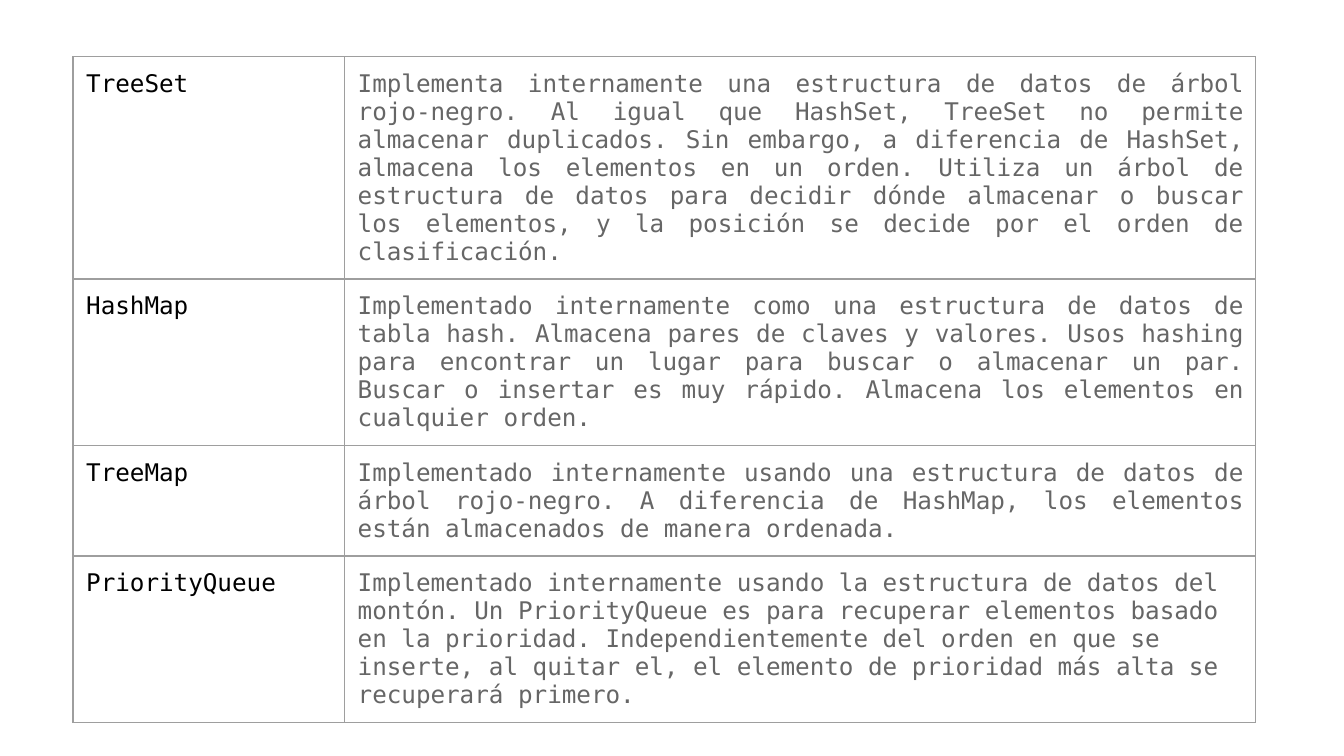
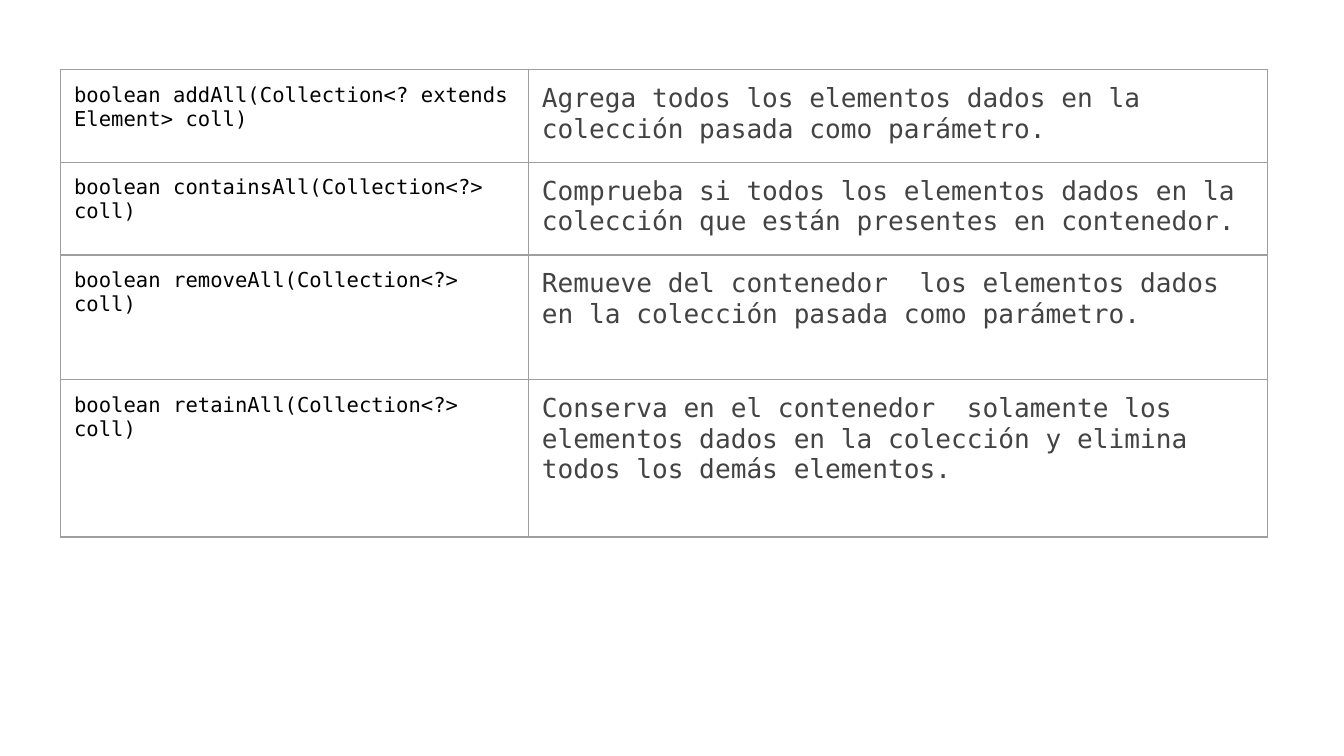
import lxml.etree
import pptx
import pptx.dml.color
import pptx.enum.text
import pptx.oxml.ns
import pptx.util

Cm = pptx.util.Cm
Pt = pptx.util.Pt
RGBColor = pptx.dml.color.RGBColor
ALIGN = pptx.enum.text.PP_ALIGN
qn = pptx.oxml.ns.qn

BLACK = RGBColor(0x00, 0x00, 0x00)
GREY = RGBColor(0x66, 0x66, 0x66)
DARK_GREY = RGBColor(0x43, 0x43, 0x43)
BORDER_GREY = RGBColor(0x9E, 0x9E, 0x9E)
FONT = "DejaVu Sans Mono"
CELL_MARGIN = Cm(0.25)
BLANK_LAYOUT = 6

CONTAINERS = [
    ("TreeSet",
     "Implementa internamente una estructura de datos de árbol rojo-negro. "
     "Al igual que HashSet, TreeSet no permite almacenar duplicados. "
     "Sin embargo, a diferencia de HashSet, almacena los elementos en un orden. "
     "Utiliza un árbol de estructura de datos para decidir dónde almacenar o "
     "buscar los elementos, y la posición se decide por el orden de clasificación.",
     ALIGN.JUSTIFY),
    ("HashMap",
     "Implementado internamente como una estructura de datos de tabla hash. "
     "Almacena pares de claves y valores. Usos hashing para encontrar un lugar "
     "para buscar o almacenar un par. Buscar o insertar es muy rápido. "
     "Almacena los elementos en cualquier orden.",
     ALIGN.JUSTIFY),
    ("TreeMap",
     "Implementado internamente usando una estructura de datos de árbol "
     "rojo-negro. A diferencia de HashMap, los elementos están almacenados de "
     "manera ordenada.",
     ALIGN.JUSTIFY),
    ("PriorityQueue",
     "Implementado internamente usando la estructura de datos del montón. "
     "Un PriorityQueue es para recuperar elementos basado en la prioridad. "
     "Independientemente del orden en que se inserte, al quitar el, el elemento "
     "de prioridad más alta se recuperará primero.",
     ALIGN.LEFT),
]

METHODS = [
    ("boolean addAll(Collection<? extends\nElement> coll)",
     "Agrega todos los elementos dados en la colección pasada como parámetro.",
     ALIGN.LEFT),
    ("boolean containsAll(Collection<?> coll)",
     "Comprueba si todos los elementos dados en la colección que están "
     "presentes en contenedor.",
     ALIGN.LEFT),
    ("boolean removeAll(Collection<?> coll)",
     "Remueve del contenedor  los elementos dados en la colección pasada como "
     "parámetro.",
     ALIGN.LEFT),
    ("boolean retainAll(Collection<?> coll)",
     "Conserva en el contenedor  solamente los elementos dados en la colección "
     "y elimina todos los demás elementos.",
     ALIGN.LEFT),
]


def draw_borders(cell):
    properties = cell._tc.get_or_add_tcPr()
    for position, side in enumerate(("a:lnL", "a:lnR", "a:lnT", "a:lnB")):
        line = lxml.etree.Element(qn(side), w=str(Pt(0.75)))
        fill = lxml.etree.SubElement(line, qn("a:solidFill"))
        lxml.etree.SubElement(fill, qn("a:srgbClr"), val=str(BORDER_GREY))
        properties.insert(position, line)


def fill_cell(cell, text, size, color, alignment=ALIGN.LEFT):
    cell.fill.background()
    draw_borders(cell)
    cell.margin_left = cell.margin_right = CELL_MARGIN
    cell.margin_top = cell.margin_bottom = CELL_MARGIN
    paragraph = cell.text_frame.paragraphs[0]
    paragraph.text = text
    paragraph.alignment = alignment
    paragraph.font.name = FONT
    paragraph.font.size = Pt(size)
    paragraph.font.color.rgb = color


def add_glossary_slide(deck, entries, corner, widths, heights, term_size,
                       meaning_size, meaning_color):
    """Add a slide with a two-column table of terms and meanings (lengths in cm)."""
    slide = deck.slides.add_slide(deck.slide_layouts[BLANK_LAYOUT])
    left, top = corner
    glossary = slide.shapes.add_table(
        len(entries), len(widths), Cm(left), Cm(top),
        Cm(sum(widths)), Cm(sum(heights))).table
    glossary.first_row = False
    glossary.horz_banding = False
    for column, width in zip(glossary.columns, widths):
        column.width = Cm(width)
    for row, height, (term, meaning, alignment) in zip(
            glossary.rows, heights, entries):
        row.height = Cm(height)
        fill_cell(row.cells[0], term, term_size, BLACK)
        fill_cell(row.cells[1], meaning, meaning_size, meaning_color, alignment)


def main():
    deck = pptx.Presentation()
    deck.slide_width = Cm(25.4)
    deck.slide_height = Cm(14.29)
    add_glossary_slide(deck, CONTAINERS, (1.38, 1.07), (5.13, 17.22),
                       (3.68, 2.62, 2.08, 2.62), 13, 13, GREY)
    add_glossary_slide(deck, METHODS, (1.15, 1.32), (8.84, 13.97),
                       (1.75, 1.75, 2.36, 2.97), 11, 14, DARK_GREY)
    deck.save("out.pptx")


if __name__ == "__main__":
    main()
